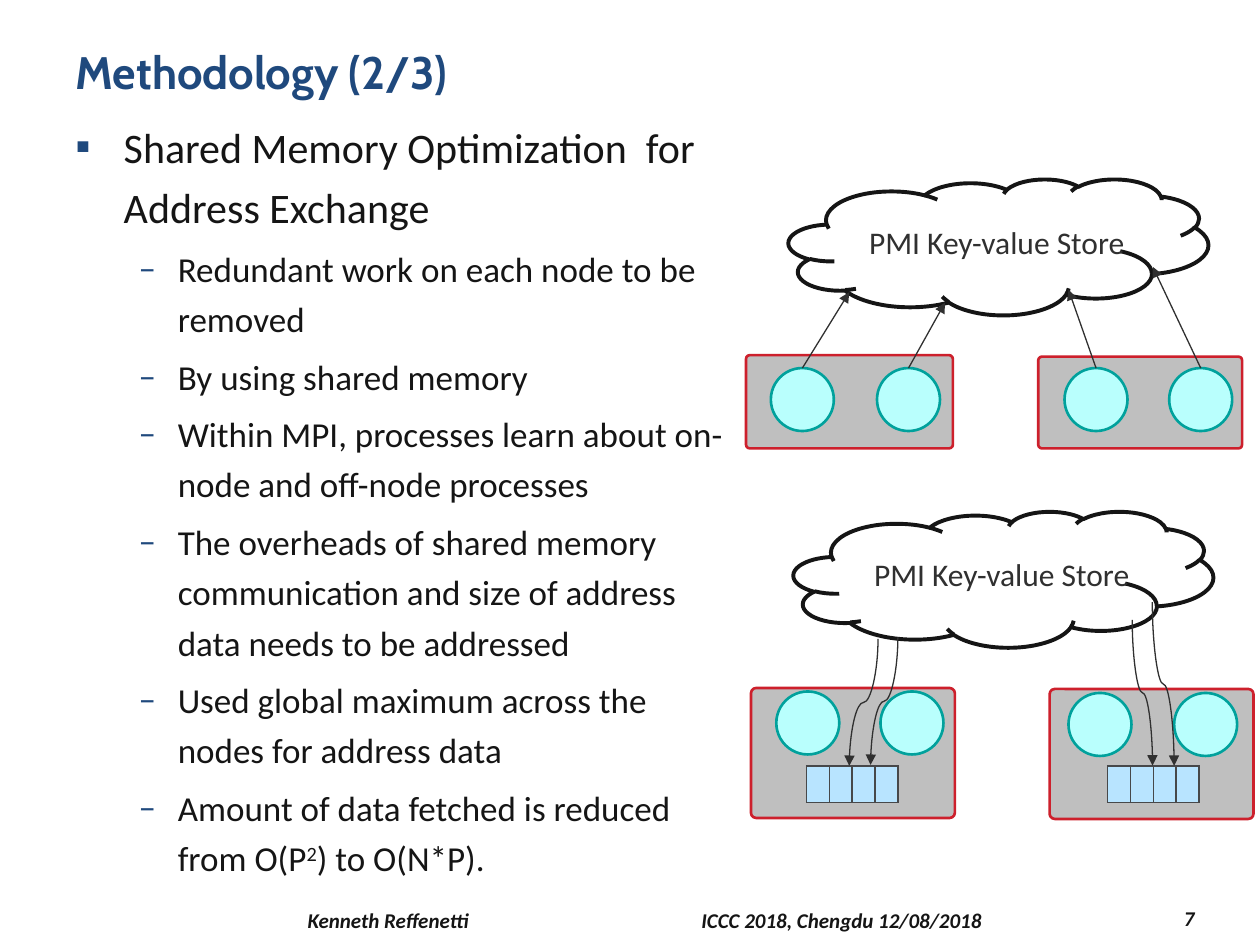
"""Builds the Methodology slide on shared memory optimization for address exchange."""
from lxml.etree import SubElement
from pptx import Presentation
from pptx.dml.color import RGBColor
from pptx.enum.shapes import MSO_CONNECTOR, MSO_SHAPE
from pptx.enum.text import MSO_ANCHOR, MSO_AUTO_SIZE, PP_ALIGN
from pptx.oxml.ns import qn
from pptx.util import Cm, Pt

NAVY = RGBColor(0x1F, 0x49, 0x7D)
INK = RGBColor(0x15, 0x15, 0x15)
CHARCOAL = RGBColor(0x30, 0x30, 0x30)
GREY = RGBColor(0xBF, 0xBF, 0xBF)
RED = RGBColor(0xCD, 0x20, 0x2C)
AQUA = RGBColor(0xB9, 0xFF, 0xFD)
TEAL = RGBColor(0x00, 0xA1, 0x9C)
SKY = RGBColor(0xB8, 0xE4, 0xFF)
SLATE = RGBColor(0x47, 0x48, 0x4A)

TITLE = "Methodology (2/3)"
POINTS = [
    (0, ["Shared Memory Optimization  for Address Exchange"]),
    (1, ["Redundant work on each node to be removed"]),
    (1, ["By using shared memory"]),
    (1, ["Within MPI, processes learn about on-node and off-node processes"]),
    (1, ["The overheads of shared memory communication and size of address data needs to be addressed"]),
    (1, ["Used global maximum across the nodes for address data"]),
    (1, ["Amount of data fetched is reduced from O(P", "2", ") to O(N*P)."]),
]
LEVELS = [("▪", 24, 0.97, -0.97), ("–", 20, 2.06, -0.79)]
FOOTER = "Kenneth Reffenetti\tICCC 2018, Chengdu 12/08/2018"
PAGE = "7"
STORE = "PMI Key-value Store"

CLOUDS = [(15.9, 3.61), (16.0, 10.31)]
DIRECT_NODES = [
    ((15.04, 7.16, 4.17, 1.88), 7.42, [(15.54, (17.12, 5.89)), (17.68, (19.05, 6.1))]),
    ((20.93, 7.19, 4.11, 1.85), 7.42, [(21.46, (21.54, 5.84)), (23.57, (23.24, 5.38))]),
]
SHARED_NODES = [
    ((15.14, 13.87, 4.11, 2.62), 13.94, (15.65, 17.75), 16.26),
    ((21.16, 13.89, 4.11, 2.62), 13.97, (21.54, 23.67), 22.33),
]
FETCHES = [
    ((17.7, 12.88), (17.12, 15.44)), ((18.11, 12.85), (17.55, 15.42)),
    ((22.83, 12.5), (23.24, 15.44)), ((23.24, 12.14), (23.67, 15.44)),
]
PROCESS_SIZE = 1.27
SLOTS, SLOT_WIDTH, SLOT_HEIGHT, SLOT_TOP = 4, 0.46, 0.74, 15.44


def lengths(*values):
    return [Cm(round(value, 2)) for value in values]


def place(part, box):
    part.left, part.top, part.width, part.height = lengths(*box)


def style(run, size, color, font="Calibri", bold=None, italic=None):
    run.font.size, run.font.name = Pt(size), font
    run.font.bold, run.font.italic = bold, italic
    run.font.color.rgb = color


def add_bullet(paragraph, sign, left, indent):
    properties = paragraph._p.get_or_add_pPr()
    properties.set("marL", str(Cm(left)))
    properties.set("indent", str(Cm(indent)))
    SubElement(SubElement(properties, qn("a:buClr")), qn("a:srgbClr"), val=str(NAVY))
    SubElement(properties, qn("a:buFont"), typeface="Calibri")
    SubElement(properties, qn("a:buChar"), char=sign)


def add_label(shapes, box, text, size, color, **emphasis):
    label = shapes.add_textbox(*lengths(*box))
    label.text_frame.text = text
    for run in label.text_frame.paragraphs[0].runs:
        style(run, size, color, **emphasis)
    return label.text_frame


def add_figure(shapes, preset, box, line, width, fill=None):
    figure = shapes.add_shape(preset, *lengths(*box))
    figure.shadow.inherit = False
    figure.line.color.rgb, figure.line.width = line, Pt(width)
    if fill is None:
        figure.fill.background()
    else:
        figure.fill.solid()
        figure.fill.fore_color.rgb = fill
    return figure


def add_panel(shapes, box):
    panel = add_figure(shapes, MSO_SHAPE.ROUNDED_RECTANGLE, box, RED, 1.5, GREY)
    panel.adjustments[0] = 0.04


def add_process(shapes, left, top):
    box = (left, top, PROCESS_SIZE, PROCESS_SIZE)
    return add_figure(shapes, MSO_SHAPE.OVAL, box, TEAL, 1.5, AQUA)


def add_arrow(shapes, kind, begin, end):
    arrow = shapes.add_connector(kind, *lengths(*begin, *end))
    arrow.line.color.rgb, arrow.line.width = CHARCOAL, Pt(0.75)
    SubElement(arrow.line._get_or_add_ln(), qn("a:tailEnd"), type="triangle")
    SubElement(arrow._element.spPr, qn("a:effectLst"))
    return arrow


def add_fetch(shapes, begin, end):
    (x1, y1), (x2, y2) = begin, end
    middle_x, middle_y = (x1 + x2) / 2, (y1 + y2) / 2
    leftward = x2 < x1
    reach = (y2 - y1) / 2 if leftward else (y1 - y2) / 2
    spread = abs(x2 - x1) / 2
    arrow = add_arrow(shapes, MSO_CONNECTOR.CURVE,
                      (middle_x - reach, middle_y - spread),
                      (middle_x + reach, middle_y + spread))
    arrow._element.spPr.find(qn("a:xfrm")).set("rot", str((90 if leftward else 270) * 60000))


def add_memory(shapes, left):
    box = lengths(left, SLOT_TOP, SLOTS * SLOT_WIDTH, SLOT_HEIGHT)
    memory = shapes.add_table(1, SLOTS, *box).table
    memory.first_row = memory.horz_banding = False
    for column in memory.columns:
        column.width = Cm(SLOT_WIDTH)
    for cell in memory.iter_cells():
        cell.margin_left = cell.margin_right = cell.margin_top = cell.margin_bottom = 0
        SubElement(cell.text_frame.paragraphs[0]._p, qn("a:endParaRPr"), sz="800")
        properties = cell._tc.get_or_add_tcPr()
        for side in ("lnL", "lnR", "lnT", "lnB"):
            border = SubElement(properties, qn("a:" + side), w=str(Pt(1)))
            SubElement(SubElement(border, qn("a:solidFill")), qn("a:srgbClr"), val=str(SLATE))
        cell.fill.solid()
        cell.fill.fore_color.rgb = SKY


def write_text(slide):
    title, body = slide.shapes.title, slide.placeholders[1]
    place(title, (1.27, 0.76, 22.86, 2.21))
    title.text_frame.text = TITLE
    title.text_frame.vertical_anchor = MSO_ANCHOR.TOP
    heading = title.text_frame.paragraphs[0]
    heading.alignment = PP_ALIGN.LEFT
    style(heading.runs[0], 26, NAVY, "Cabin", True)

    place(body, (1.27, 2.11, 13.77, 14.81))
    body.text_frame.auto_size = MSO_AUTO_SIZE.NONE
    for index, (level, pieces) in enumerate(POINTS):
        frame = body.text_frame
        point = frame.add_paragraph() if index else frame.paragraphs[0]
        sign, size, left, indent = LEVELS[level]
        point.level, point.line_spacing = level, 1.2
        add_bullet(point, sign, left, indent)
        for position, piece in enumerate(pieces):
            run = point.add_run()
            run.text = piece
            style(run, size, INK)
            if position == 1:
                run.font._element.set("baseline", "30000")

    emphasis = dict(bold=True, italic=True)
    footer = add_label(slide.shapes, (5.51, 18.21, 15.04, 0.69), FOOTER, 12, INK, **emphasis)
    footer.margin_left = Cm(0.69)
    tabs = SubElement(footer.paragraphs[0]._p.get_or_add_pPr(), qn("a:tabLst"))
    SubElement(tabs, qn("a:tab"), pos=str(Cm(7.94)), algn="l")
    page = add_label(slide.shapes, (21.59, 18.16, 2.74, 0.69), PAGE, 12, INK, **emphasis)
    page.paragraphs[0].alignment = PP_ALIGN.RIGHT
    for frame in (footer, page):
        frame.word_wrap, frame.vertical_anchor = True, MSO_ANCHOR.MIDDLE


def draw_diagrams(shapes):
    for left, top in CLOUDS:
        store = shapes.add_group_shape().shapes
        add_figure(store, MSO_SHAPE.CLOUD, (left, top, 8.46, 2.74), INK, 2.25)
        label = add_label(store, (left + 1.37, top + 0.76, 5.72, 1.02), STORE, 18, CHARCOAL)
        label.word_wrap, label.auto_size = False, MSO_AUTO_SIZE.SHAPE_TO_FIT_TEXT
    sends = []
    for panel, top, processes in DIRECT_NODES:
        add_panel(shapes, panel)
        sends += [(add_process(shapes, left, top), target) for left, target in processes]
    for panel, top, lefts, memory_left in SHARED_NODES:
        add_panel(shapes, panel)
        for left in lefts:
            add_process(shapes, left, top)
        add_memory(shapes, memory_left)
    for process, target in sends:
        send = add_arrow(shapes, MSO_CONNECTOR.STRAIGHT, target, target)
        send.begin_connect(process, 0)
    for begin, end in FETCHES:
        add_fetch(shapes, begin, end)


def main():
    deck = Presentation()
    deck.slide_width, deck.slide_height = Cm(25.4), Cm(19.05)
    slide = deck.slides.add_slide(deck.slide_layouts[1])
    write_text(slide)
    draw_diagrams(slide.shapes)
    deck.save("out.pptx")


if __name__ == "__main__":
    main()
